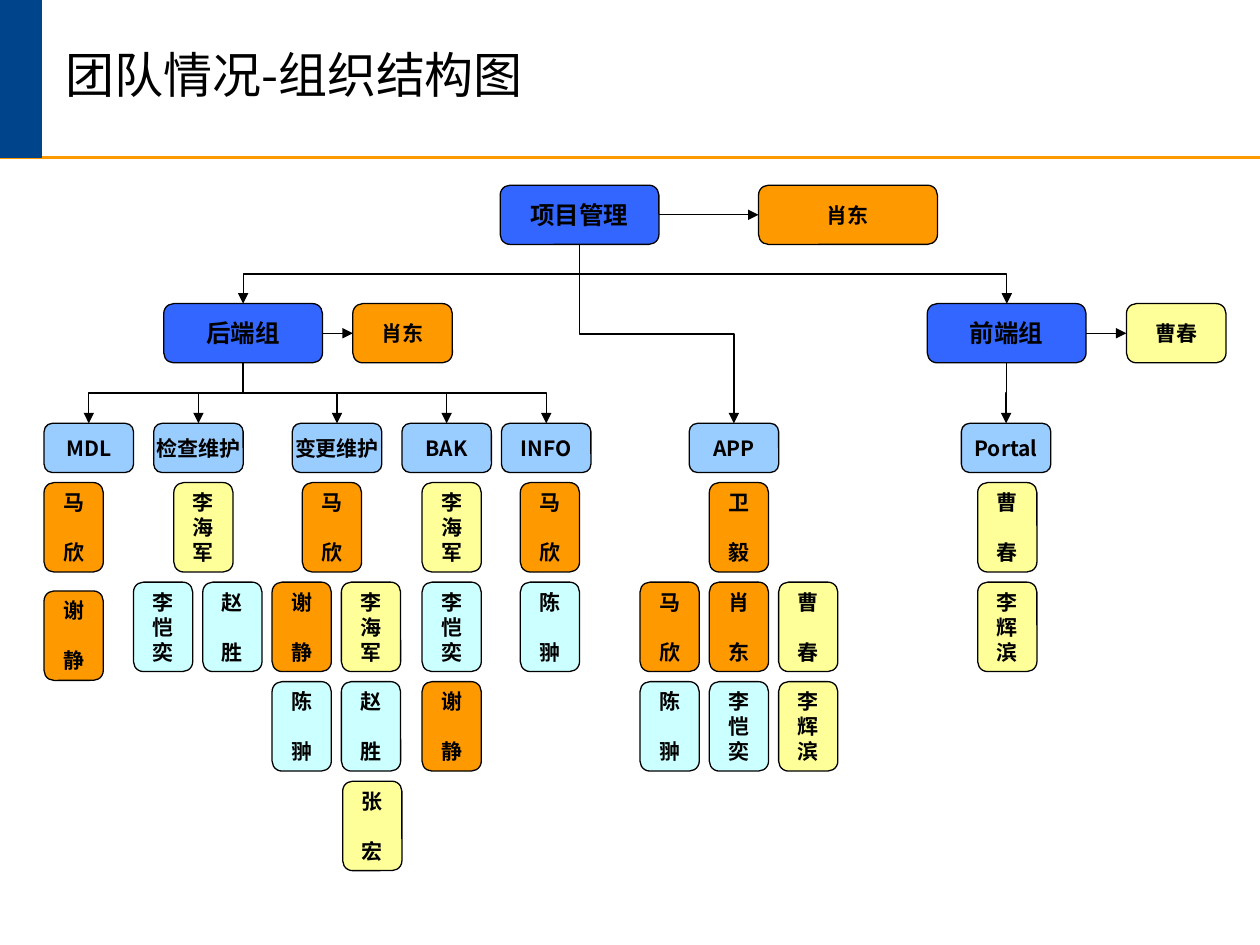
from lxml.etree import SubElement
from pptx import Presentation
from pptx.dml.color import RGBColor
from pptx.enum.shapes import MSO_CONNECTOR, MSO_SHAPE
from pptx.enum.text import MSO_ANCHOR, PP_ALIGN
from pptx.oxml.ns import qn
from pptx.util import Inches, Pt

FONT = "Noto Sans CJK SC"
COLORS = {
    "black": "000000", "navy": "00458C", "group": "3366FF", "module": "99CCFF",
    "orange": "FF9900", "yellow": "FFFF99", "cyan": "CCFFFF",
}
MEMBER_COLORS = {
    "马欣": "orange", "谢静": "orange", "肖东": "orange", "卫毅": "orange",
    "李海军": "yellow", "曹春": "yellow", "李辉滨": "yellow", "张宏": "yellow",
    "李恺奕": "cyan", "赵胜": "cyan", "陈翀": "cyan",
}
LINE_PITCH = Pt(14.3)
MODULE_TOP, MODULE_W, MODULE_H = 3.36, 0.71, 0.39
CARD_TOP, CARD_W, CARD_H = 3.83, 0.47, 0.71
CARD_STEP, ROW_STEP = 0.55, 0.79
GROUP_W, GROUP_H = 1.26, 0.47

BACKEND_MODULES = [
    ("MDL", 0.35, 0.86, [(0.35, ["马欣"]), (0.35, ["谢静"])]),
    ("检查维护", 1.22, ROW_STEP, [(1.38, ["李海军"]), (1.06, ["李恺奕", "赵胜"])]),
    ("变更维护", 2.32, ROW_STEP, [(2.4, ["马欣"]), (2.16, ["谢静", "李海军"]),
                              (2.16, ["陈翀", "赵胜"]), (2.72, ["张宏"])]),
    ("BAK", 3.19, ROW_STEP, [(3.35, ["李海军"]), (3.35, ["李恺奕"]), (3.35, ["谢静"])]),
    ("INFO", 3.98, ROW_STEP, [(4.13, ["马欣"]), (4.13, ["陈翀"])]),
]
APP_MODULES = [
    ("APP", 5.47, ROW_STEP, [(5.63, ["卫毅"]), (5.08, ["马欣", "肖东", "曹春"]),
                             (5.08, ["陈翀", "李恺奕", "李辉滨"])]),
]
FRONTEND_MODULES = [
    ("Portal", 7.63, ROW_STEP, [(7.76, ["曹春"]), (7.76, ["李辉滨"])]),
]


def color(name):
    return RGBColor.from_string(COLORS[name])


def format_runs(paragraph, size, bold):
    for run in paragraph.runs:
        run.font.size = Pt(size)
        run.font.bold = bold
        run.font.name = FONT
        run.font.color.rgb = color("black")
        SubElement(run.font._element, qn("a:ea")).set("typeface", FONT)


def add_box(slide, left, top, width, height, fill, text, size=12):
    box = slide.shapes.add_shape(MSO_SHAPE.ROUNDED_RECTANGLE, Inches(left),
                                 Inches(top), Inches(width), Inches(height))
    box.shadow.inherit = False
    box.fill.solid()
    box.fill.fore_color.rgb = color(fill)
    box.line.color.rgb = color("black")
    box.line.width = Pt(0.75)
    frame = box.text_frame
    frame.word_wrap = False
    frame.vertical_anchor = MSO_ANCHOR.MIDDLE
    frame.text = text
    for paragraph in frame.paragraphs:
        paragraph.alignment = PP_ALIGN.CENTER
        format_runs(paragraph, size, True)
    return box


def add_member_card(slide, left, top, name):
    card = add_box(slide, left, top, CARD_W, CARD_H, MEMBER_COLORS[name], "\n".join(name))
    paragraphs = card.text_frame.paragraphs
    for paragraph in paragraphs:
        paragraph.line_spacing = LINE_PITCH
    if len(name) == 2:
        paragraphs[1].space_before = LINE_PITCH


def style_connector(connector, line_color="black", width=0.75, arrow=True):
    connector.line.color.rgb = color(line_color)
    connector.line.width = Pt(width)
    if arrow:
        SubElement(connector.line._get_or_add_ln(), qn("a:tailEnd")).set("type", "triangle")
    SubElement(connector._element.spPr, qn("a:effectLst"))


def join(slide, kind, start, start_site, end, end_site):
    connector = slide.shapes.add_connector(kind, 0, 0, 0, 0)
    connector.begin_connect(start, start_site)
    connector.end_connect(end, end_site)
    style_connector(connector)
    return connector


def add_lead_arrow(slide, group, lead):
    join(slide, MSO_CONNECTOR.STRAIGHT, group, 3, lead, 1)


def add_branch(slide, parent, child):
    branch = join(slide, MSO_CONNECTOR.ELBOW, parent, 2, child, 0)
    start_x = parent.left + parent.width // 2
    start_y = parent.top + parent.height
    end_x = child.left + child.width // 2
    drop, reach = child.top - start_y, abs(end_x - start_x)
    branch.left = (start_x + end_x - drop) // 2
    branch.top = (start_y + child.top - reach) // 2
    branch.width, branch.height = drop, reach
    to_right = end_x > start_x
    frame = branch._element.spPr.xfrm
    frame.rot = 270 if to_right else 90
    frame.flipH = to_right
    frame.flipV = False


def add_header(slide, left, top, width, height):
    rule = slide.shapes.add_connector(MSO_CONNECTOR.STRAIGHT, Inches(left), Inches(top + height),
                                      Inches(left + width), Inches(top + height))
    style_connector(rule, "orange", 1.5, arrow=False)
    band = slide.shapes.add_shape(MSO_SHAPE.RECTANGLE, Inches(left), Inches(top),
                                  Inches(0.33), Inches(height))
    band.shadow.inherit = False
    band.fill.solid()
    band.fill.fore_color.rgb = color("navy")
    band.line.color.rgb = color("navy")
    band.line.width = Pt(1)
    title = slide.shapes.title
    title.left, title.top = Inches(left + 0.42), Inches(top)
    title.width, title.height = Inches(9.33), Inches(height)
    title.text_frame.text = "团队情况-组织结构图"
    title.text_frame.vertical_anchor = MSO_ANCHOR.MIDDLE
    heading = title.text_frame.paragraphs[0]
    heading.alignment = PP_ALIGN.LEFT
    heading.line_spacing = 0.85
    format_runs(heading, 28, False)


def add_group(slide, left, top, name, lead, lead_left, lead_width):
    group = add_box(slide, left, top, GROUP_W, GROUP_H, "group", name, 14)
    lead_box = add_box(slide, lead_left, top, lead_width, GROUP_H, MEMBER_COLORS[lead], lead)
    add_lead_arrow(slide, group, lead_box)
    return group


def add_modules(slide, parent, modules):
    for name, left, row_step, rows in modules:
        module = add_box(slide, left, MODULE_TOP, MODULE_W, MODULE_H, "module", name)
        add_branch(slide, parent, module)
        for row, (row_left, members) in enumerate(rows):
            for column, member in enumerate(members):
                add_member_card(slide, row_left + column * CARD_STEP,
                                CARD_TOP + row * row_step, member)


def main():
    deck = Presentation()
    deck.slide_width, deck.slide_height = Inches(10), Inches(7.5)
    slide = deck.slides.add_slide(deck.slide_layouts[5])
    add_header(slide, 0, 0, 10, 1.25)
    management = add_group(slide, 3.97, 1.47, "项目管理", "肖东", 6.02, 1.42)
    backend = add_group(slide, 1.3, 2.41, "后端组", "肖东", 2.8, 0.79)
    frontend = add_group(slide, 7.36, 2.41, "前端组", "曹春", 8.94, 0.79)
    add_branch(slide, management, backend)
    add_branch(slide, management, frontend)
    add_modules(slide, backend, BACKEND_MODULES)
    add_modules(slide, management, APP_MODULES)
    add_modules(slide, frontend, FRONTEND_MODULES)
    deck.save("out.pptx")


if __name__ == "__main__":
    main()
